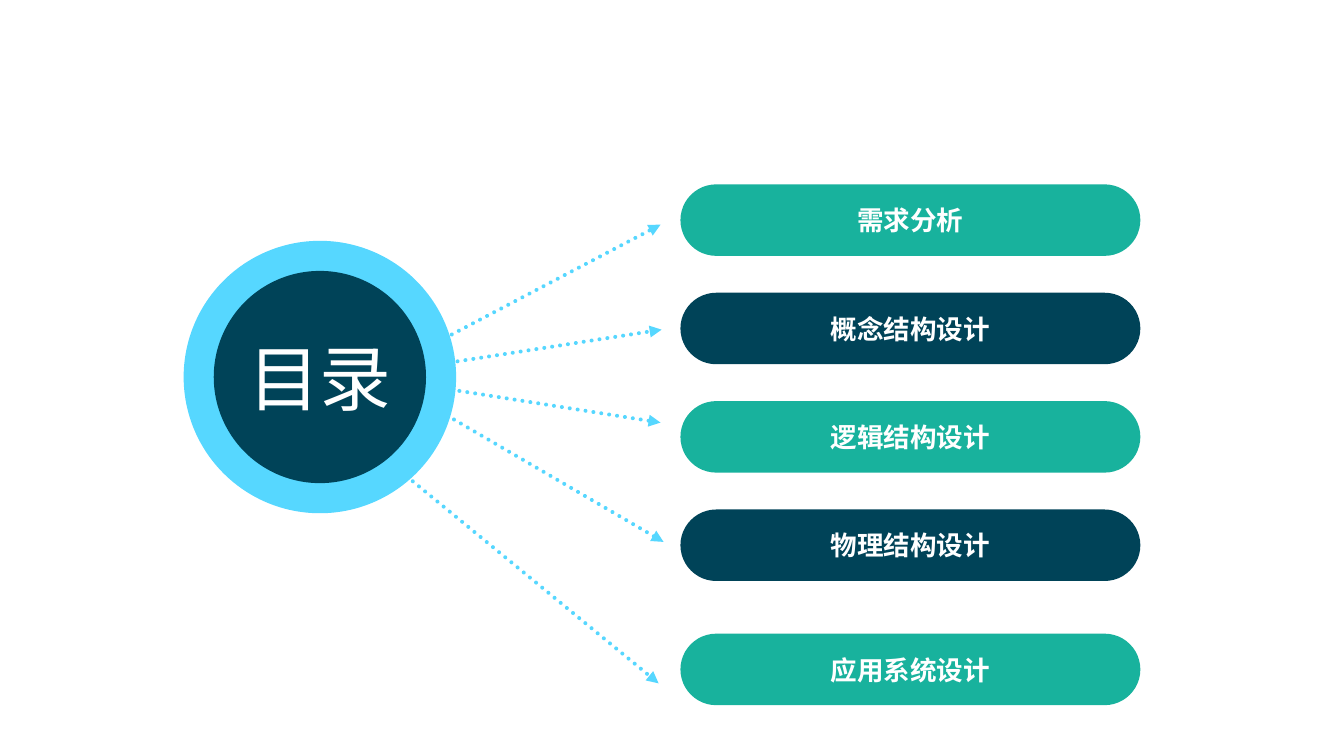
from pptx import Presentation
from pptx.dml.color import RGBColor
from pptx.enum.dml import MSO_LINE
from pptx.enum.shapes import MSO_CONNECTOR, MSO_SHAPE as SHAPE
from pptx.enum.text import MSO_ANCHOR, PP_ALIGN
from pptx.oxml.ns import qn
from pptx.util import Cm, Pt
from lxml.etree import SubElement

COLORS = {"navy": "004358", "teal": "18B29D", "sky": "56D7FF", "white": "FFFFFF"}
FONT = "Arial"
TITLE = "目录"
TOPICS = ["需求分析", "概念结构设计", "逻辑结构设计", "物理结构设计", "应用系统设计"]
ARROWS = [
    ((10.69, 9.58), (17.55, 5.97)),
    ((10.69, 9.83), (17.58, 8.76)),
    ((10.95, 10.19), (17.55, 11.23)),
    ((11.33, 10.72), (17.63, 14.4)),
    ((10.64, 12.52), (17.5, 18.16)),
]
HUB_X, HUB_Y = 8.5, 10.02
RING_SIZE, CORE_SIZE = 7.24, 5.64
PILL_LEFT, PILL_TOP, PILL_W, PILL_H = 18.08, 4.9, 12.22, 1.9
PILL_PITCH, LAST_GAP = 2.88, 0.42


def rgb(name):
    """Return the named colour."""
    return RGBColor.from_string(COLORS[name])


def add_filled(s, kind, box, color, text="", size=20, bold=False):
    """Add a flat shape with optional centred text."""
    sp = s.shapes.add_shape(kind, *map(Cm, box))
    sp.shadow.inherit = False
    sp.fill.solid()
    sp.fill.fore_color.rgb = rgb(color)
    sp.line.fill.background()
    if text:
        tf = sp.text_frame
        tf.margin_left = tf.margin_top = tf.margin_right = tf.margin_bottom = 0
        tf.vertical_anchor = MSO_ANCHOR.MIDDLE
        p = tf.paragraphs[0]
        p.text = text
        p.alignment = PP_ALIGN.CENTER
        p.font.name, p.font.size, p.font.bold = FONT, Pt(size), bold
        p.font.color.rgb = rgb("white")
    return sp


def add_circle(s, size, color, text=""):
    """Add a circle centred on the hub."""
    box = HUB_X - size / 2, HUB_Y - size / 2, size, size
    add_filled(s, SHAPE.OVAL, box, color, text, 54)


def add_arrow(s, start, end):
    """Add a dotted arrow."""
    c = s.shapes.add_connector(MSO_CONNECTOR.STRAIGHT, *map(Cm, start + end))
    c.line.color.rgb = rgb("sky")
    c.line.width = Pt(3)
    c.line.dash_style = MSO_LINE.ROUND_DOT
    spPr = c.element.spPr
    ln = spPr.find(qn("a:ln"))
    ln.set("cap", "rnd")
    SubElement(ln, qn("a:tailEnd"), type="triangle")
    SubElement(spPr, qn("a:effectLst"))


def main():
    """Build the contents slide."""
    prs = Presentation()
    prs.slide_width, prs.slide_height = Cm(35.71), Cm(20.09)
    s = prs.slides.add_slide(prs.slide_layouts[6])
    for start, end in ARROWS:
        add_arrow(s, start, end)
    add_circle(s, RING_SIZE, "sky")
    add_circle(s, CORE_SIZE, "navy", TITLE)
    for i, topic in enumerate(TOPICS):
        top = PILL_TOP + i * PILL_PITCH
        if i == len(TOPICS) - 1:
            top += LAST_GAP
        color = ("teal", "navy")[i % 2]
        box = PILL_LEFT, top, PILL_W, PILL_H
        pill = add_filled(s, SHAPE.ROUNDED_RECTANGLE, box, color, topic, bold=True)
        pill.adjustments[0] = 0.5
    prs.save("out.pptx")


if __name__ == "__main__":
    main()
